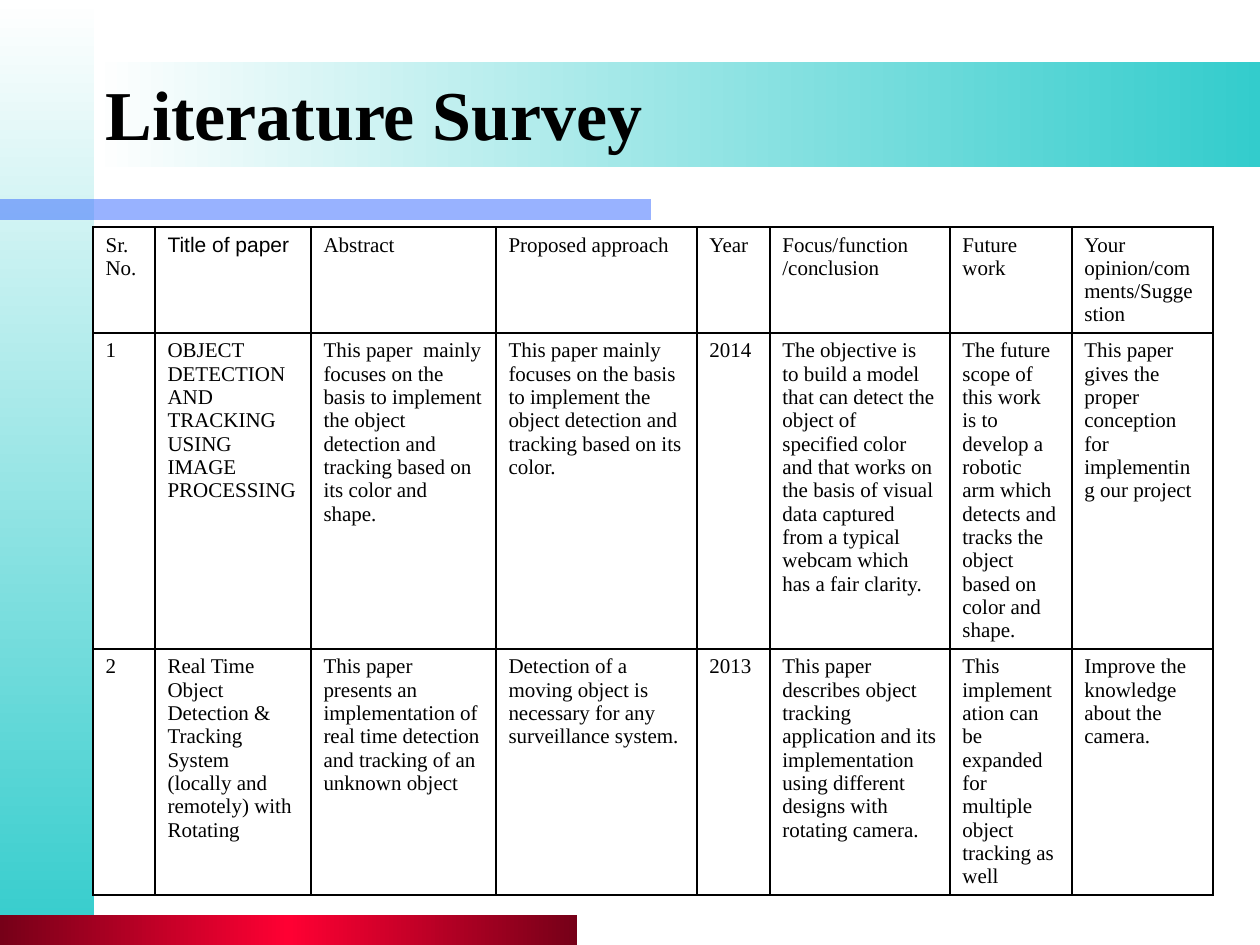
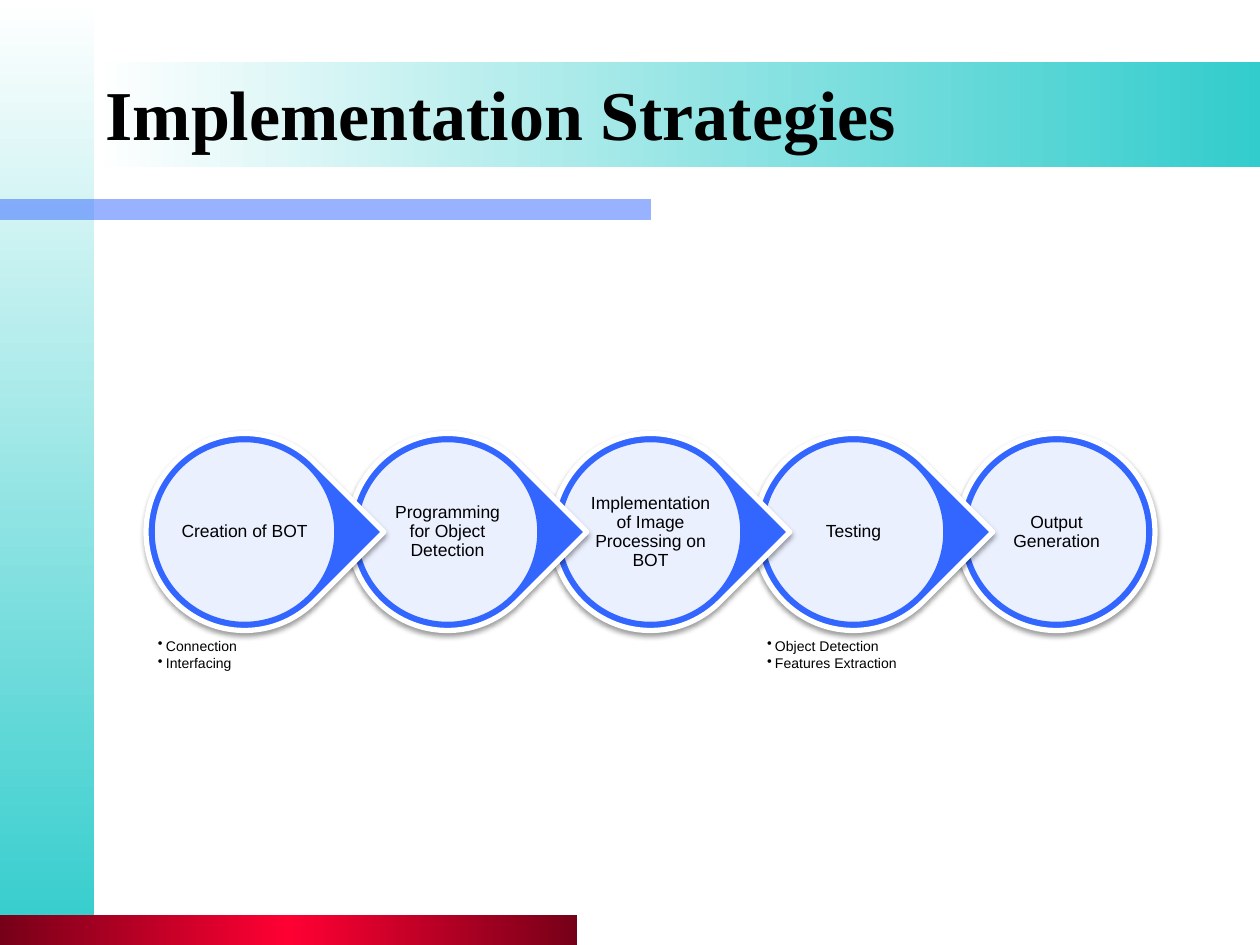
from lxml import etree
from pptx import Presentation
from pptx.dml.color import RGBColor
from pptx.enum.shapes import MSO_SHAPE
from pptx.enum.text import MSO_ANCHOR, PP_ALIGN
from pptx.oxml.ns import qn
from pptx.util import Emu, Pt

RECTANGLE, OVAL, TEARDROP = MSO_SHAPE.RECTANGLE, MSO_SHAPE.OVAL, MSO_SHAPE.TEAR
LEFT, CENTER = PP_ALIGN.LEFT, PP_ALIGN.CENTER
TOP, MIDDLE = MSO_ANCHOR.TOP, MSO_ANCHOR.MIDDLE

# Shared look
EMU_PER_PX = 914400 // 126
SERIF, SANS = "Times New Roman", "Arial"
BLACK, WHITE, TEAL, BLUE = "000000", "FFFFFF", "33CCCC", "3366FF"
RED, DARK_RED = "FF0033", "760018"
TITLE_BOX = (93, 34, 1071, 158)
BANDS = [  # place, colours, gradient angle, opacity in percent
    ((0, 0, 94, 945), [WHITE, TEAL], 270, 100),
    ((0, 199, 651, 21), [BLUE], 0, 50),
    ((0, 915, 577, 30), [DARK_RED, RED, DARK_RED], 0, 100),
    ((94, 62, 1166, 105), [WHITE, TEAL], 0, 100),
]

# Literature survey
SURVEY_TITLE = "Literature Survey"
SURVEY_CORNER = (93, 227)
SURVEY_WIDTHS = [62, 156, 185, 201, 73, 180, 122, 141]
SURVEY_HEIGHTS = [106, 316, 246]
SURVEY_ROWS = [
    ["Sr.No.", "Title of paper", "Abstract", "Proposed approach", "Year",
     "Focus/function\n/conclusion", "Future work",
     "Your opinion/comments/Suggestion"],
    ["1",
     "OBJECT DETECTION AND TRACKING USING IMAGE PROCESSING",
     "This paper  mainly focuses on the basis to implement the object "
     "detection and tracking based on its color and shape.",
     "This paper mainly focuses on the basis to implement the object "
     "detection and tracking based on its color.",
     "2014",
     "The objective is to build a model that can detect the object of "
     "specified color and that works on the basis of visual data captured "
     "from a typical webcam which has a fair clarity.",
     "The future scope of this work is to develop a robotic arm which "
     "detects and tracks the object based on color and shape.",
     "This paper gives the proper conception for implementing our project"],
    ["2",
     "Real Time Object Detection & Tracking System (locally and remotely) "
     "with Rotating",
     "This paper presents an implementation of real time detection and "
     "tracking of an unknown object",
     "Detection of a moving object is necessary for any surveillance system.",
     "2013",
     "This paper describes object tracking application and its "
     "implementation using different designs with rotating camera.",
     "This implementation can be expanded for multiple object tracking as well",
     "Improve the knowledge about the camera."],
]
SANS_HEADING = "Title of paper"

# Implementation steps, each with its details
STEPS_TITLE = "Implementation Strategies"
STEPS = [
    ("Creation of BOT", "Connection\nInterfacing"),
    ("Programming for Object Detection", ""),
    ("Implementation of Image Processing on BOT", ""),
    ("Testing", "Object Detection\nFeatures Extraction"),
    ("Output Generation", ""),
]
FIRST_CENTER, CENTER_Y, STEP_GAP = 244, 532, 203
DROP_SIZE, DISC_SIZE, LABEL_SIZE = 197, 183, 131
DETAIL_TOP, DETAIL_HEIGHT, BULLET_INDENT = 634, 107, 8


def px(value):
    return Emu(round(value * EMU_PER_PX))


def place(*lengths):
    return [px(length) for length in lengths]


def color(hex_code):
    return RGBColor.from_string(hex_code)


def add_node(parent, tag, **attributes):
    node = etree.SubElement(parent, qn(tag))
    for name, value in attributes.items():
        node.set(name, str(value))
    return node


def write(frame, text, size=12, font=SERIF, bold=False, align=LEFT,
          anchor=TOP, margin=None, line=None, after=None, bullet=False):
    frame.word_wrap = True
    frame.vertical_anchor = anchor
    if margin is not None:
        frame.margin_left = frame.margin_right = px(margin)
        frame.margin_top = frame.margin_bottom = px(margin)
    for index, words in enumerate(text.split("\n")):
        para = frame.add_paragraph() if index else frame.paragraphs[0]
        para.alignment = align
        if line:
            para.line_spacing = line
        if after:
            para.space_after = Pt(after)
        if bullet:
            indent = px(BULLET_INDENT)
            properties = para._p.get_or_add_pPr()
            properties.set("marL", str(indent))
            properties.set("indent", str(-indent))
            add_node(properties, "a:buChar", char="•")
        span = para.add_run()
        span.text = words
        span.font.size, span.font.name, span.font.bold = Pt(size), font, bold
        span.font.color.rgb = color(BLACK)


def add_figure(page, kind, box, colors, angle=0, opacity=100,
               line=None, width=0):
    shape = page.shapes.add_shape(kind, *place(*box))
    shape.shadow.inherit = False
    properties = shape._element.spPr
    if len(colors) > 1:
        shape.fill.gradient()
        shape.fill.gradient_angle = angle
        stops = properties.find(".//" + qn("a:gsLst"))
        stops.clear()
        for index, hex_code in enumerate(colors):
            position = 100000 * index // (len(colors) - 1)
            stop = add_node(stops, "a:gs", pos=position)
            add_node(stop, "a:srgbClr", val=hex_code)
    else:
        shape.fill.solid()
        shape.fill.fore_color.rgb = color(colors[0])
        if opacity < 100:
            paint = properties.find(qn("a:solidFill"))[0]
            add_node(paint, "a:alpha", val=opacity * 1000)
    if line:
        shape.line.color.rgb = color(line)
        shape.line.width = Pt(width)
    else:
        shape.line.fill.background()
    return shape


def add_soft_shadow(shape):
    effects = shape._element.spPr.find(qn("a:effectLst"))
    shadow = add_node(effects, "a:outerShdw", blurRad=Pt(3.1), dist=Pt(1.6),
                      dir=5400000, rotWithShape=0)
    paint = add_node(shadow, "a:srgbClr", val=BLACK)
    add_node(paint, "a:alpha", val=38000)


def add_page(deck, layout, title):
    page = deck.slides.add_slide(layout)
    heading = page.shapes.title
    heading.left, heading.top, heading.width, heading.height = place(*TITLE_BOX)
    write(heading.text_frame, title, size=40, bold=True, anchor=MIDDLE)
    return page


def move_bands_to_layout(page, layout):
    for box, colors, angle, opacity in BANDS:
        band = add_figure(page, RECTANGLE, box, colors, angle, opacity)
        layout.shapes._spTree.append(band._element)


def add_borders(cell):
    properties = cell._tc.get_or_add_tcPr()
    for index, side in enumerate(("a:lnL", "a:lnR", "a:lnT", "a:lnB")):
        border = add_node(properties, side, w=Pt(1))
        add_node(add_node(border, "a:solidFill"), "a:srgbClr", val=BLACK)
        properties.insert(index, border)


def add_survey(page):
    size = sum(SURVEY_WIDTHS), sum(SURVEY_HEIGHTS)
    table = page.shapes.add_table(len(SURVEY_ROWS), len(SURVEY_WIDTHS),
                                  *place(*SURVEY_CORNER, *size)).table
    table.first_row = table.horz_banding = False
    for column, width in zip(table.columns, SURVEY_WIDTHS):
        column.width = px(width)
    for row, height, texts in zip(table.rows, SURVEY_HEIGHTS, SURVEY_ROWS):
        row.height = px(height)
        for cell, text in zip(row.cells, texts):
            write(cell.text_frame, text,
                  font=SANS if text == SANS_HEADING else SERIF)
            cell.fill.background()
            add_borders(cell)


def centered(center, size):
    return center - size / 2, CENTER_Y - size / 2, size, size


def add_steps(page):
    last = len(STEPS) - 1
    # Later steps lie beneath the tips of earlier ones
    for index in range(last, -1, -1):
        label, details = STEPS[index]
        center = FIRST_CENTER + 0.5 + index * STEP_GAP
        drop = add_figure(page, OVAL if index == last else TEARDROP,
                          centered(center, DROP_SIZE), [BLUE],
                          line=WHITE, width=3)
        drop.rotation = 0 if index == last else 45
        add_soft_shadow(drop)
        add_figure(page, OVAL, centered(center, DISC_SIZE), [WHITE],
                   opacity=90, line=BLUE, width=2)
        box = page.shapes.add_textbox(*place(*centered(center, LABEL_SIZE)))
        write(box.text_frame, label, size=10, font=SANS, align=CENTER,
              anchor=MIDDLE, margin=1, line=0.9, after=3.5)
        if details:
            box = page.shapes.add_textbox(*place(
                center - DISC_SIZE / 2, DETAIL_TOP, DISC_SIZE, DETAIL_HEIGHT))
            write(box.text_frame, details, size=8, font=SANS, margin=5,
                  line=0.9, after=1.2, bullet=True)


def main():
    deck = Presentation()
    deck.slide_width, deck.slide_height = place(1260, 945)
    layout = deck.slide_layouts.get_by_name("Title Only")
    survey_page = add_page(deck, layout, SURVEY_TITLE)
    move_bands_to_layout(survey_page, layout)
    add_survey(survey_page)
    add_steps(add_page(deck, layout, STEPS_TITLE))
    deck.save("out.pptx")


if __name__ == "__main__":
    main()
